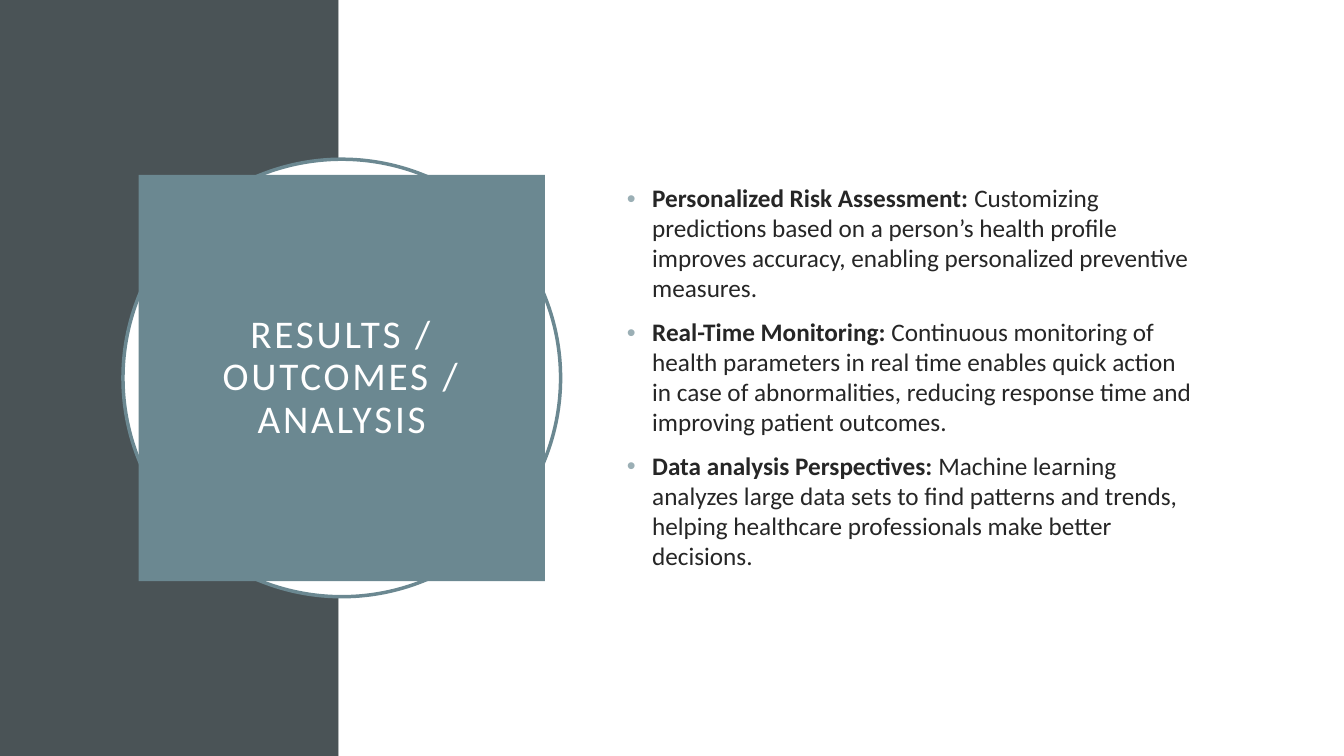
import pptx
import pptx.dml.color
import pptx.enum.shapes
import pptx.enum.text
import pptx.oxml
import pptx.oxml.ns
import pptx.util

RGBColor = pptx.dml.color.RGBColor
SHAPE = pptx.enum.shapes.MSO_SHAPE
ALIGN = pptx.enum.text.PP_ALIGN
MIDDLE = pptx.enum.text.MSO_ANCHOR.MIDDLE
Inches = pptx.util.Inches
Pt = pptx.util.Pt

WHITE = RGBColor(0xFF, 0xFF, 0xFF)
SLATE = RGBColor(0x4A, 0x53, 0x56)
TEAL = RGBColor(0x6B, 0x88, 0x91)
INK = RGBColor(0x26, 0x26, 0x26)
BULLET_HEX = "9BAFB5"

SLIDE_W, SLIDE_H = 13.33, 7.5
BAND_W = 3.36
CENTER_X, CENTER_Y = 3.39, SLIDE_H / 2
RING_SIZE, TITLE_SIZE = 4.34, 4.03

TITLE = "RESULTS / OUTCOMES / ANALYSIS"
POINTS = [
    ("Personalized Risk Assessment: ",
     "Customizing predictions based on a person’s health profile improves "
     "accuracy, enabling personalized preventive measures."),
    ("Real-Time Monitoring: ",
     "Continuous monitoring of health parameters in real time enables quick "
     "action in case of abnormalities, reducing response time and improving "
     "patient outcomes."),
    ("Data analysis Perspectives: ",
     "Machine learning analyzes large data sets to find patterns and trends, "
     "helping healthcare professionals make better decisions."),
]


def add_block(slide, kind, left, top, width, height, fill, line=None):
    sp = slide.shapes.add_shape(kind, Inches(left), Inches(top),
                                Inches(width), Inches(height))
    sp.shadow.inherit = False
    sp.fill.solid()
    sp.fill.fore_color.rgb = fill
    if line is None:
        sp.line.fill.background()
    else:
        sp.line.color.rgb = line
        sp.line.width = Pt(2.5)
    return sp


def add_centered(slide, kind, size, fill, line=None):
    return add_block(slide, kind, CENTER_X - size / 2, CENTER_Y - size / 2,
                     size, size, fill, line)


def add_run(p, text, size=18, color=INK, bold=False, spacing=0):
    r = p.add_run()
    r.text = text
    r.font.name = "Calibri"
    r.font.size = Pt(size)
    r.font.color.rgb = color
    r.font.bold = bold
    if spacing:
        r.font._element.set("spc", str(spacing * 100))


def set_bullet(p):
    pPr = p._p.get_or_add_pPr()
    pPr.set("marL", str(Inches(0.25)))
    pPr.set("indent", str(-Inches(0.25)))
    color = pptx.oxml.ns.qn("a:buClr")
    bu_color = pPr.makeelement(color, {})
    bu_color.append(pPr.makeelement(pptx.oxml.ns.qn("a:srgbClr"),
                                    {"val": BULLET_HEX}))
    pPr.append(bu_color)
    pPr.append(pPr.makeelement(pptx.oxml.ns.qn("a:buFont"),
                               {"typeface": "Arial"}))
    pPr.append(pPr.makeelement(pptx.oxml.ns.qn("a:buChar"), {"char": "•"}))


def add_title(slide):
    sp = add_centered(slide, SHAPE.RECTANGLE, TITLE_SIZE, TEAL)
    tf = sp.text_frame
    tf.word_wrap = True
    tf.vertical_anchor = MIDDLE
    tf.margin_left = tf.margin_right = Inches(0.2)
    tf.margin_top = tf.margin_bottom = Inches(0.2)
    p = tf.paragraphs[0]
    p.alignment = ALIGN.CENTER
    p.line_spacing = 0.9
    add_run(p, TITLE, size=28, color=WHITE, spacing=2)


def add_points(slide, left, top, width, height):
    tf = slide.shapes.add_textbox(Inches(left), Inches(top), Inches(width),
                                  Inches(height)).text_frame
    tf.word_wrap = True
    tf.vertical_anchor = MIDDLE
    for i, (heading, detail) in enumerate(POINTS):
        p = tf.add_paragraph() if i else tf.paragraphs[0]
        p.space_before = Pt(10)
        p.line_spacing = 0.99
        set_bullet(p)
        add_run(p, heading, bold=True)
        add_run(p, detail)


def main():
    prs = pptx.Presentation()
    prs.slide_width, prs.slide_height = Inches(SLIDE_W), Inches(SLIDE_H)
    slide = prs.slides.add_slide(prs.slide_layouts[6])

    # Background: dark band and white field
    add_block(slide, SHAPE.RECTANGLE, 0, 0, BAND_W, SLIDE_H, SLATE)
    add_block(slide, SHAPE.RECTANGLE, BAND_W, 0, SLIDE_W - BAND_W, SLIDE_H,
              WHITE)

    # Ring with the title block on the same centre
    add_centered(slide, SHAPE.OVAL, RING_SIZE, WHITE, line=TEAL)
    add_title(slide)

    # Findings
    add_points(slide, 6.12, 1.53, 5.82, 4.43)

    prs.save("out.pptx")


if __name__ == "__main__":
    main()
